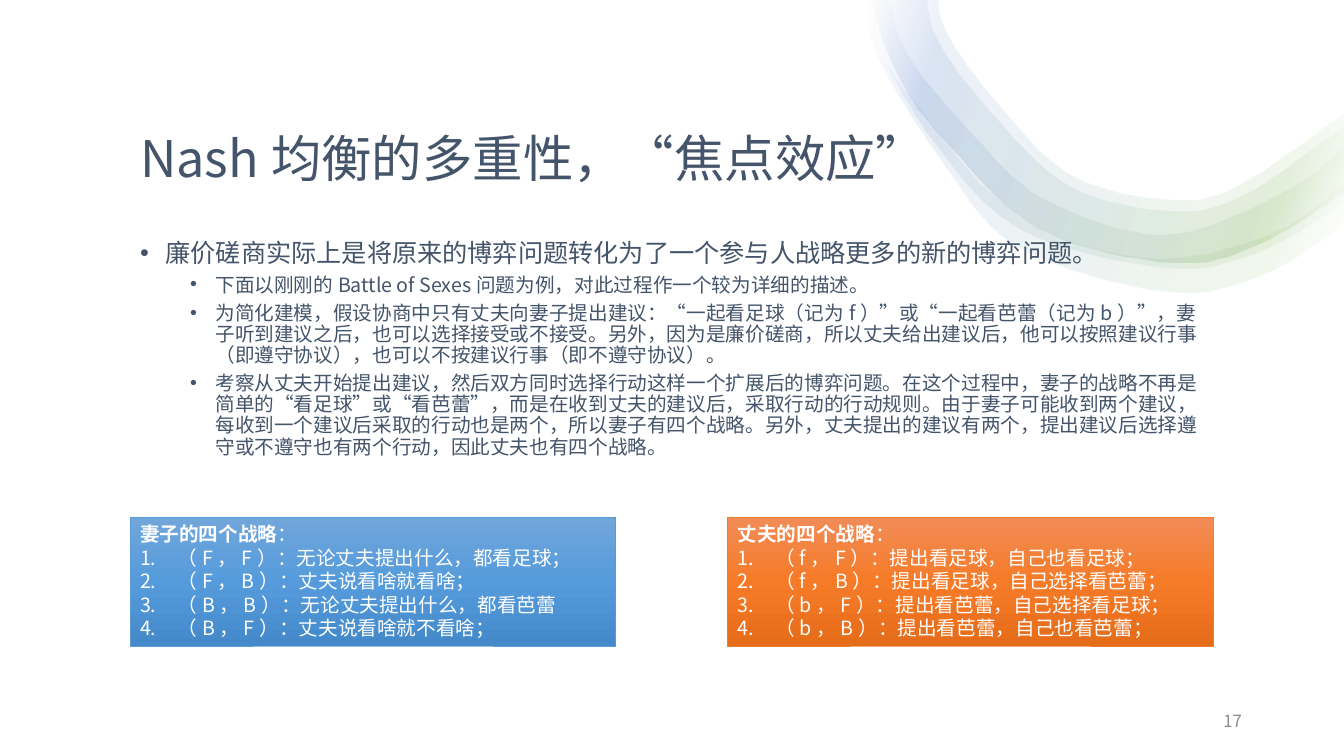
from lxml import etree
from pptx import Presentation
from pptx.dml.color import RGBColor
from pptx.enum.shapes import MSO_SHAPE
from pptx.enum.text import MSO_ANCHOR, PP_ALIGN
from pptx.oxml import parse_xml
from pptx.oxml.ns import nsdecls, qn
from pptx.util import Cm, Pt

RECT = MSO_SHAPE.RECTANGLE
TOP, MIDDLE, BOTTOM = MSO_ANCHOR.TOP, MSO_ANCHOR.MIDDLE, MSO_ANCHOR.BOTTOM
LEFT, RIGHT = PP_ALIGN.LEFT, PP_ALIGN.RIGHT
FONT = "Noto Sans CJK SC"
COLORS = {
    "white": "FFFFFF", "text": "44546A", "number": "8C8C8C",
    "green": "70AD47", "blue": "4472C4",
    "wife_line": "5B9BD5", "wife_top": "71A6DB", "wife_mid": "559BDB", "wife_end": "448ACA",
    "husband_line": "ED7D31", "husband_top": "F18C57", "husband_mid": "F67B28",
    "husband_end": "E56C19",
}

TITLE = "Nash均衡的多重性，“焦点效应”"
LEAD = "廉价磋商实际上是将原来的博弈问题转化为了一个参与人战略更多的新的博弈问题。"
DETAILS = [
    "下面以刚刚的Battle of Sexes问题为例，对此过程作一个较为详细的描述。",
    "为简化建模，假设协商中只有丈夫向妻子提出建议：“一起看足球（记为f）”或“一起看芭蕾（记为b）”，"
    "妻子听到建议之后，也可以选择接受或不接受。另外，因为是廉价磋商，所以丈夫给出建议后，"
    "他可以按照建议行事（即遵守协议），也可以不按建议行事（即不遵守协议）。",
    "考察从丈夫开始提出建议，然后双方同时选择行动这样一个扩展后的博弈问题。在这个过程中，"
    "妻子的战略不再是简单的“看足球”或“看芭蕾”，而是在收到丈夫的建议后，采取行动的行动规则。"
    "由于妻子可能收到两个建议，每收到一个建议后采取的行动也是两个，所以妻子有四个战略。另外，"
    "丈夫提出的建议有两个，提出建议后选择遵守或不遵守也有两个行动，因此丈夫也有四个战略。",
]
CARDS = [
    ("wife", "妻子的四个战略", [
        "（F，F）：无论丈夫提出什么，都看足球；",
        "（F，B）：丈夫说看啥就看啥；",
        "（B，B）：无论丈夫提出什么，都看芭蕾",
        "（B，F）：丈夫说看啥就不看啥；"]),
    ("husband", "丈夫的四个战略", [
        "（f，F）：提出看足球，自己也看足球；",
        "（f，B）：提出看足球，自己选择看芭蕾；",
        "（b，F）：提出看芭蕾，自己选择看足球；",
        "（b，B）：提出看芭蕾，自己也看芭蕾；"]),
]
PAGE = "17"

RIBBON_UNIT = Cm(0.0254)
RIBBON_STOPS = [(2, "white"), (16, "green"), (85, "blue"), (100, "white")]
LOWER_EDGE = [(865, 0), (889, 70), (934, 135), (1030, 226), (1164, 260), (1248, 242), (1333, 190)]
RIBBONS = [
    ([(864, 0), (875, 54), (925, 124), (981, 189), (1050, 235), (1159, 256), (1264, 230),
      (1333, 183)],
     [(860, 0), (871, 56), (931, 154), (1009, 244), (1158, 289), (1253, 272), (1333, 223)]),
    ([(883, 0), (901, 54), (960, 127), (1035, 196), (1157, 232), (1275, 189), (1333, 146)],
     [(865, 0), (874, 51), (931, 146), (1013, 227), (1157, 265), (1247, 250), (1333, 201)]),
    ([(920, 0), (932, 42), (979, 106), (1061, 184), (1164, 209), (1235, 192), (1333, 125)],
     LOWER_EDGE),
    ([(931, 0), (941, 35), (988, 100), (1064, 174), (1164, 198), (1229, 183), (1333, 112)],
     LOWER_EDGE),
]


def rgb(name):
    return RGBColor.from_string(COLORS[name])


def smooth_curve(points, steps=8):
    padded = [points[0], *points, points[-1]]
    curve = []
    for knots in zip(padded, padded[1:], padded[2:], padded[3:]):
        for i in range(steps):
            t = i / steps
            curve.append(tuple(
                b + t * (c - a) / 2 + t**2 * (2 * a - 5 * b + 4 * c - d) / 2
                + t**3 * (3 * b - a - 3 * c + d) / 2
                for a, b, c, d in zip(*knots)))
    return curve + [points[-1]]


def fill_gradient(sp, stops, angle, opacity=100):
    gs = "".join(
        f'<a:gs pos="{pos * 1000}"><a:srgbClr val="{COLORS[name]}">'
        f'<a:alpha val="{opacity * 1000}"/></a:srgbClr></a:gs>' for pos, name in stops)
    grad = parse_xml(f'<a:gradFill {nsdecls("a")} rotWithShape="1"><a:gsLst>{gs}</a:gsLst>'
                     f'<a:lin ang="{angle * 60000}" scaled="0"/></a:gradFill>')
    sp.fill.solid()
    solid = sp._element.spPr.find(qn("a:solidFill"))
    solid.getparent().replace(solid, grad)


def add_text(tf, text, size, color="text", bold_part="", align=LEFT, pitch=None,
             before=0, margin=0, hang=0, bullet=None):
    p = tf.paragraphs[0]
    if p.runs:
        p = tf.add_paragraph()
    p.alignment = align
    p.space_before = Pt(before)
    if pitch:
        p.line_spacing = Pt(pitch)
    if bullet:
        pPr = p._p.get_or_add_pPr()
        pPr.set("marL", str(Cm(margin)))
        pPr.set("indent", str(-Cm(hang)))
        if bullet == "number":
            etree.SubElement(pPr, qn("a:buAutoNum"), type="arabicPeriod")
        else:
            etree.SubElement(pPr, qn("a:buFont"), typeface="Arial")
            etree.SubElement(pPr, qn("a:buChar"), char=bullet)
    for part, bold in ((bold_part, True), (text, False)):
        if part:
            r = p.add_run()
            r.text = part
            r.font.size = Pt(size)
            r.font.bold = bold
            r.font.color.rgb = rgb(color)
            r.font.name = FONT
            etree.SubElement(r._r.get_or_add_rPr(), qn("a:ea"), typeface=FONT)


def add_box(s, left, top, width, height, anchor):
    tf = s.shapes.add_textbox(Cm(left), Cm(top), Cm(width), Cm(height)).text_frame
    tf.word_wrap = True
    tf.vertical_anchor = anchor
    return tf


def add_ribbon(s, upper, lower):
    points = smooth_curve(upper) + smooth_curve(lower)[::-1]
    builder = s.shapes.build_freeform(*points[0], scale=RIBBON_UNIT)
    builder.add_line_segments(points[1:], close=True)
    sp = builder.convert_to_shape()
    fill_gradient(sp, RIBBON_STOPS, 200, 10)
    sp.line.fill.background()
    sp.shadow.inherit = False


def add_card(s, left, top, width, height, who, heading, strategies):
    sp = s.shapes.add_shape(RECT, Cm(left), Cm(top), Cm(width), Cm(height))
    fill_gradient(sp, [(0, f"{who}_top"), (50, f"{who}_mid"), (100, f"{who}_end")], 90)
    sp.line.color.rgb = rgb(f"{who}_line")
    sp.line.width = Pt(0.5)
    sp.shadow.inherit = False
    tf = sp.text_frame
    tf.word_wrap = True
    tf.vertical_anchor = TOP
    add_text(tf, "：", 14, color="white", bold_part=heading, pitch=16.8)
    for strategy in strategies:
        add_text(tf, strategy, 14, color="white", pitch=16.8,
                 margin=0.95, hang=0.95, bullet="number")


def main():
    prs = Presentation()
    prs.slide_width, prs.slide_height = Cm(33.87), Cm(19.05)
    s = prs.slides.add_slide(prs.slide_layouts[6])
    s.background.fill.solid()
    s.background.fill.fore_color.rgb = rgb("white")
    for upper, lower in RIBBONS:
        add_ribbon(s, upper, lower)

    left, width, card_width = 3.28, 27.3, 12.24
    add_text(add_box(s, left, 1.88, width, 2.97, BOTTOM), TITLE, 36, pitch=39)
    tf = add_box(s, left, 5.94, width, 11.23, TOP)
    add_text(tf, LEAD, 18, pitch=19.4, margin=0.64, hang=0.64, bullet="•")
    for detail in DETAILS:
        add_text(tf, detail, 14, pitch=15.1, before=5, margin=1.9, hang=0.64, bullet="•")
    add_text(add_box(s, 23.93, 17.65, 7.62, 1.02, MIDDLE), PAGE, 12,
             color="number", align=RIGHT)
    for i, card in enumerate(CARDS):
        add_card(s, left + i * (width - card_width), 13.03, card_width, 3.25, *card)
    prs.save("out.pptx")


if __name__ == "__main__":
    main()
